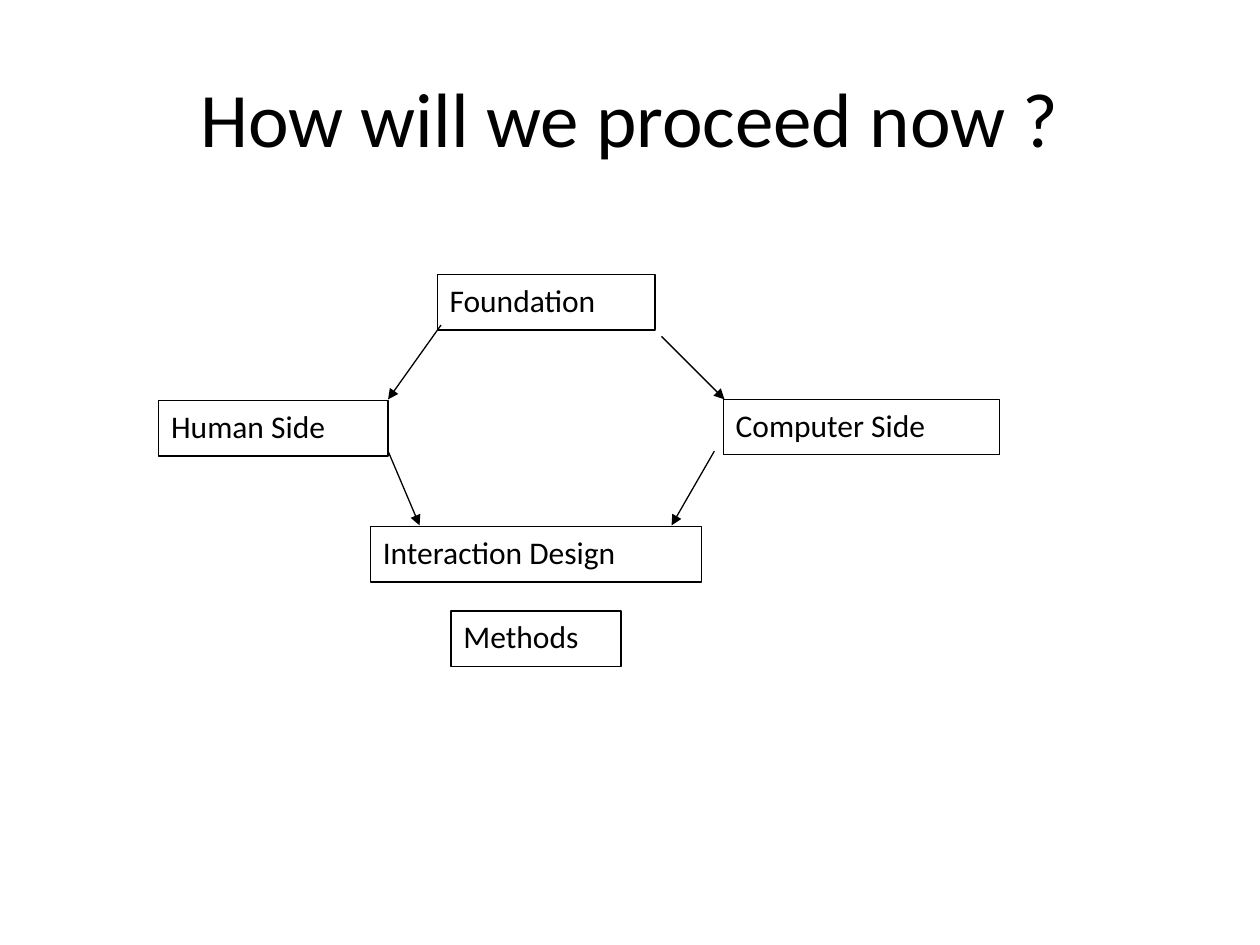
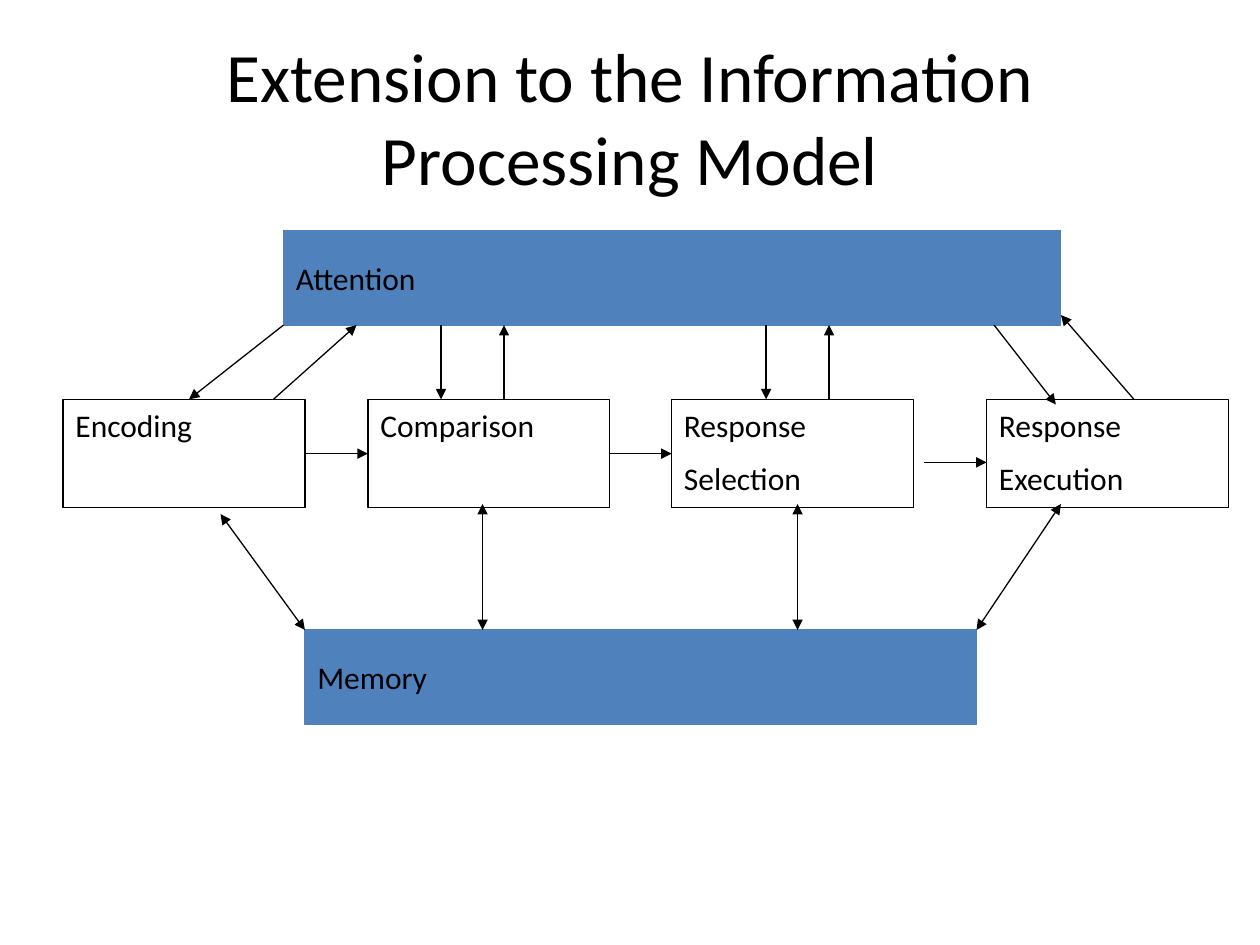
"""Builds two slides: the course outline and the extended information processing model."""
from dataclasses import dataclass

from lxml import etree
from pptx import Presentation
from pptx.dml.color import RGBColor
from pptx.enum.shapes import MSO_CONNECTOR, MSO_SHAPE
from pptx.enum.text import MSO_ANCHOR, PP_ALIGN
from pptx.oxml.ns import qn
from pptx.util import Inches, Pt

RECT = MSO_SHAPE.RECTANGLE
LINE = MSO_CONNECTOR.STRAIGHT
TOP, MIDDLE = MSO_ANCHOR.TOP, MSO_ANCHOR.MIDDLE
LEFT, CENTER = PP_ALIGN.LEFT, PP_ALIGN.CENTER
LEFT_SIDE, RIGHT_SIDE = 1, 3


@dataclass
class Theme:
    font: str = "Calibri"
    ink: RGBColor = RGBColor(0, 0, 0)
    band: RGBColor = RGBColor(0x4F, 0x81, 0xBD)
    body: Pt = Pt(18)
    gap: Pt = Pt(9)
    rule: Pt = Pt(0.75)


theme = Theme()


def add_box(slide, text, left, top, width, height, fill=None):
    box = slide.shapes.add_shape(RECT, Inches(left), Inches(top), Inches(width), Inches(height))
    box.shadow.inherit = False
    box.line.width = theme.rule
    box.line.color.rgb = fill or theme.ink
    if fill:
        box.fill.solid()
        box.fill.fore_color.rgb = fill
    else:
        box.fill.background()
    frame = box.text_frame
    frame.word_wrap = True
    frame.vertical_anchor = MIDDLE if fill else TOP
    frame.text = text
    for row, para in enumerate(frame.paragraphs):
        para.alignment = LEFT
        para.space_before = theme.gap if row else Pt(0)
        font = para.runs[0].font
        font.name, font.size, font.color.rgb = theme.font, theme.body, theme.ink
    return box


def add_arrow(slide, start, end, both=False):
    arrow = slide.shapes.add_connector(LINE, *map(Inches, start + end))
    arrow.line.width = theme.rule
    arrow.line.color.rgb = theme.ink
    stroke = arrow.line._get_or_add_ln()
    for tag in ("a:headEnd", "a:tailEnd") if both else ("a:tailEnd",):
        etree.SubElement(stroke, qn(tag), type="triangle")
    etree.SubElement(arrow._element.spPr, qn("a:effectLst"))
    return arrow


deck = Presentation()
deck.slide_width, deck.slide_height = Inches(10), Inches(7.5)

slides = []
for text, size in (
    ("How will we proceed now ?", 44),
    ("Extension to the Information Processing Model", 39.6),
):
    slide = deck.slides.add_slide(deck.slide_layouts[5])
    title = slide.shapes.title
    title.left, title.top = Inches(0.5), Inches(0.3)
    title.width, title.height = Inches(9), Inches(1.25)
    title.text_frame.text = text
    title.text_frame.word_wrap = True
    title.text_frame.vertical_anchor = MIDDLE
    para = title.text_frame.paragraphs[0]
    para.alignment = CENTER
    font = para.runs[0].font
    font.name, font.size, font.color.rgb = theme.font, Pt(size), theme.ink
    slides.append(slide)
outline, model = slides

for text, left, top, width in (
    ("Foundation", 3.47, 2.18, 1.73),
    ("Human Side", 1.26, 3.18, 1.82),
    ("Computer Side", 5.74, 3.17, 2.19),
    ("Interaction Design", 2.94, 4.18, 2.63),
    ("Methods", 3.58, 4.85, 1.35),
):
    add_box(outline, text, left, top, width, 0.44)

for start, end in (
    ((3.5, 2.58), (3.08, 3.17)),
    ((5.25, 2.67), (5.75, 3.17)),
    ((5.67, 3.58), (5.33, 4.17)),
    ((3.08, 3.58), (3.33, 4.17)),
):
    add_arrow(outline, start, end)

stages = [
    add_box(model, text, left, 3.17, 1.92, 0.86)
    for text, left in (
        ("Encoding", 0.5),
        ("Comparison", 2.92),
        ("Response\nSelection", 5.33),
        ("Response\nExecution", 7.83),
    )
]
add_box(model, "Memory", 2.42, 5, 5.33, 0.75, theme.band)
add_box(model, "Attention", 2.25, 1.83, 6.17, 0.75, theme.band)

for left, right in zip(stages[:2], stages[1:3]):
    flow = add_arrow(model, (0, 0), (1, 0))
    flow.begin_connect(left, RIGHT_SIDE)
    flow.end_connect(right, LEFT_SIDE)
add_arrow(model, (7.33, 3.67), (7.83, 3.67))

for x in (3.5, 6.08):
    add_arrow(model, (x, 2.58), (x, 3.17))
    add_arrow(model, (x + 0.5, 3.17), (x + 0.5, 2.58))

for start, end in (
    ((2.25, 2.58), (1.5, 3.17)),
    ((2.17, 3.17), (2.83, 2.58)),
    ((7.89, 2.58), (8.38, 3.21)),
    ((9, 3.17), (8.42, 2.5)),
):
    add_arrow(model, start, end)

for start, end in (
    ((1.75, 4.08), (2.42, 5)),
    ((3.83, 4), (3.83, 5)),
    ((6.33, 4), (6.33, 5)),
    ((7.75, 5), (8.42, 4)),
):
    add_arrow(model, start, end, both=True)

deck.save("out.pptx")
